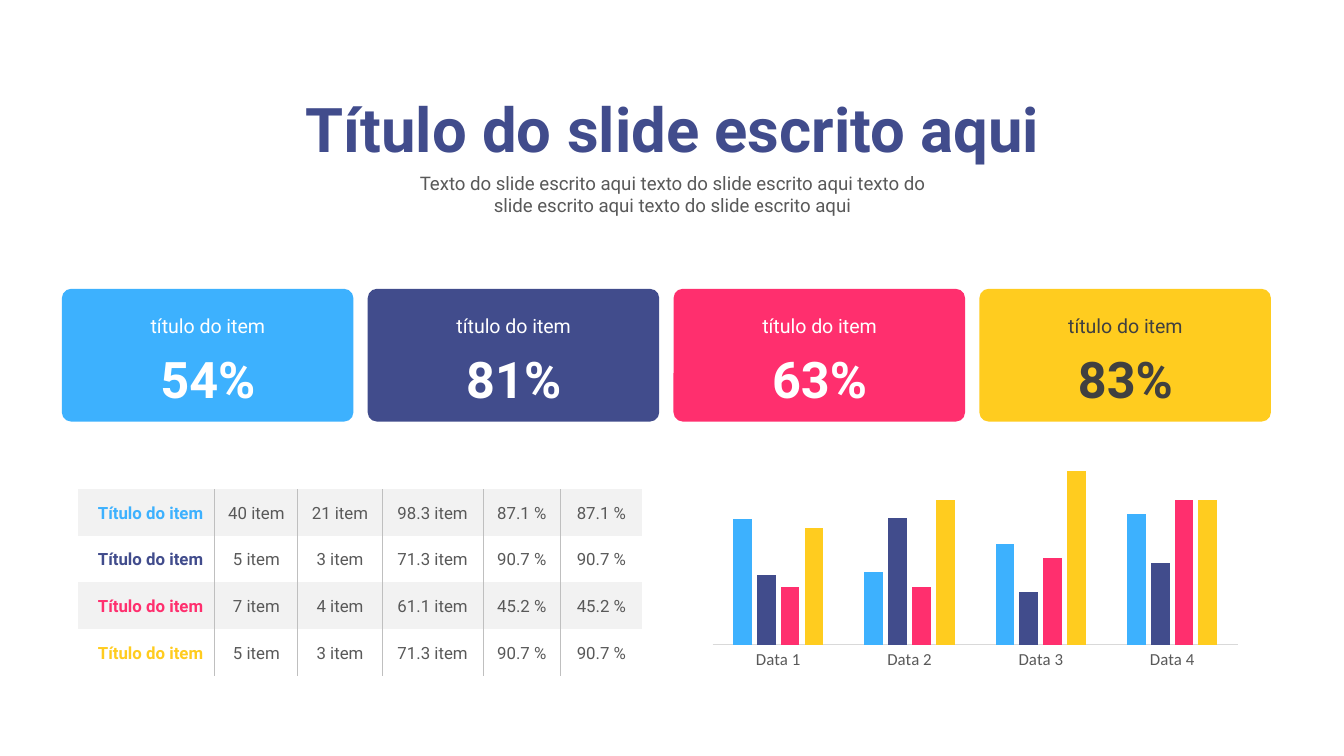
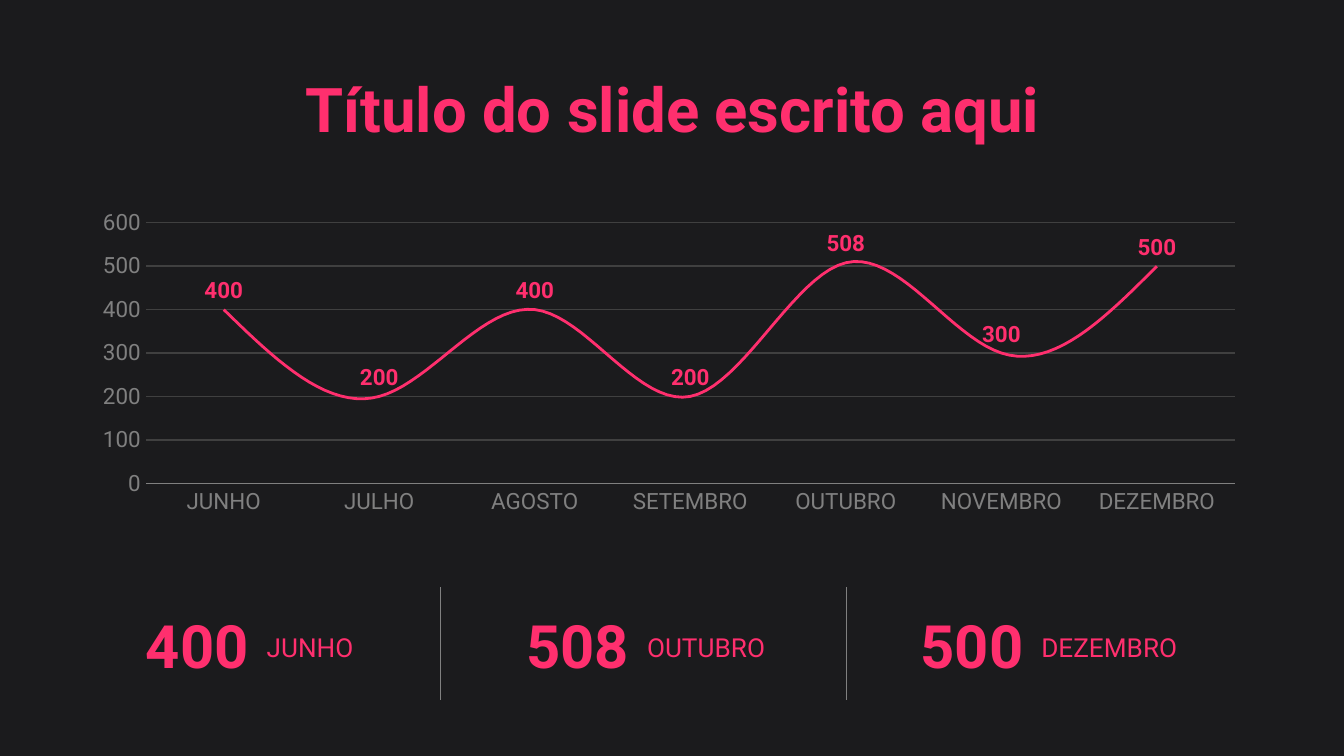
from dataclasses import dataclass
from pptx import Presentation
from pptx.chart.data import CategoryChartData
from pptx.dml.color import RGBColor
from pptx.enum.chart import XL_CHART_TYPE, XL_LABEL_POSITION, XL_TICK_MARK
from pptx.enum.shapes import MSO_CONNECTOR, MSO_SHAPE
from pptx.enum.text import MSO_ANCHOR, MSO_AUTO_SIZE, PP_ALIGN
from pptx.oxml import parse_xml
from pptx.oxml.ns import nsdecls, qn
from pptx.util import Cm, Pt
from lxml.etree import SubElement


@dataclass(frozen=True)
class Theme:
    font: str = "Roboto"
    axis_font: str = "Calibri"
    blue: str = "3DB1FE"
    navy: str = "414C8C"
    pink: str = "FF2F6E"
    yellow: str = "FFCC1F"
    white: str = "FFFFFF"
    dark: str = "1B1B1D"
    band: str = "F2F2F2"
    text: str = "595959"
    ink: str = "404040"
    grey: str = "808080"
    border: str = "BFBFBF"
    axis: str = "D9D9D9"
    title_size: float = 33
    body_size: float = 10
    label_size: float = 10.5
    percent_size: float = 27
    table_size: float = 9
    chart_size: float = 12
    figure_size: float = 32
    month_size: float = 14


T = Theme()
SERIES_COLORS = [T.blue, T.navy, T.pink, T.yellow]
TITLE = "Título do slide escrito aqui"


def style_font(font, size, color, bold=False, name=T.font):
    font.name = name
    font.size = Pt(size)
    font.bold = bold
    font.color.rgb = RGBColor.from_string(color)


def place_text(sp, box, text, size, color, bold=False, align=PP_ALIGN.CENTER,
               anchor=MSO_ANCHOR.TOP, spacing=1.0):
    sp.left, sp.top, sp.width, sp.height = [Cm(v) for v in box]
    tf = sp.text_frame
    tf.word_wrap = True
    tf.auto_size = MSO_AUTO_SIZE.SHAPE_TO_FIT_TEXT
    tf.vertical_anchor = anchor
    tf.text = text
    p = tf.paragraphs[0]
    p.alignment = align
    p.line_spacing = spacing
    style_font(p.runs[0].font, size, color, bold)
    return p


prs = Presentation()
prs.slide_width, prs.slide_height = Cm(25.4), Cm(14.29)
title_only = prs.slide_layouts[5]

s = prs.slides.add_slide(title_only)
place_text(s.shapes.title, (2.21, 1.6, 21.01, 1.68), TITLE, T.title_size, T.navy, True)
p = place_text(s.shapes.add_textbox(0, 0, 0, 0), (7.65, 3.12, 10.11, 1.12),
               "Texto do slide escrito aqui texto do slide escrito aqui texto do "
               "slide escrito aqui texto do slide escrito aqui",
               T.body_size, T.text)
p.space_before = Pt(6.8)

percents = ["54%", "81%", "63%", "83%"]
for i, (percent, color) in enumerate(zip(percents, SERIES_COLORS)):
    left = 1.17 + i * 5.78
    card = s.shapes.add_shape(MSO_SHAPE.ROUNDED_RECTANGLE,
                              Cm(left), Cm(5.46), Cm(5.51), Cm(2.51))
    card.adjustments[0] = 0.07
    card.shadow.inherit = False
    card.fill.solid()
    card.fill.fore_color.rgb = RGBColor.from_string(color)
    card.line.fill.background()
    ink = T.ink if color == T.yellow else T.white
    place_text(s.shapes.add_textbox(0, 0, 0, 0), (left + 1.2, 5.74, 3.12, 0.76),
               "título do item", T.label_size, ink, spacing=1.14)
    place_text(s.shapes.add_textbox(0, 0, 0, 0), (left + 1.2, 6.3, 3.12, 1.57),
               percent, T.percent_size, ink, True, spacing=1.14)

rows = [
    ["Título do item", "40 item", "21 item", "98.3 item", "87.1 %", "87.1 %"],
    ["Título do item", "5 item", "3 item", "71.3 item", "90.7 %", "90.7 %"],
    ["Título do item", "7 item", "4 item", "61.1 item", "45.2 %", "45.2 %"],
    ["Título do item", "5 item", "3 item", "71.3 item", "90.7 %", "90.7 %"],
]
widths = [2.59, 1.57, 1.59, 1.91, 1.46, 1.55]
table = s.shapes.add_table(len(rows), len(widths), Cm(1.47), Cm(9.25),
                           Cm(sum(widths)), Cm(3.52)).table
table.first_row = table.horz_banding = False
table._tbl.tblPr[0].text = "{2D5ABB26-0587-4C30-8999-92F81FD0307C}"
for column, width in zip(table.columns, widths):
    column.width = Cm(width)
for i, values in enumerate(rows):
    table.rows[i].height = Cm(0.88)
    for j, value in enumerate(values):
        cell = table.cell(i, j)
        cell.fill.solid()
        cell.fill.fore_color.rgb = RGBColor.from_string(T.white if i % 2 else T.band)
        cell.vertical_anchor = MSO_ANCHOR.MIDDLE
        cell.margin_left = Cm(0.18 if j else 0.38)
        cell.margin_right = Cm(0.18)
        cell.margin_top = cell.margin_bottom = Cm(0.09)
        cell.text = value
        p = cell.text_frame.paragraphs[0]
        p.alignment = PP_ALIGN.CENTER if j else PP_ALIGN.LEFT
        p.line_spacing = 1.1
        style_font(p.runs[0].font, T.table_size, T.text if j else SERIES_COLORS[i], j == 0)
        for side, inner in (("R", j < len(widths) - 1), ("L", j > 0)):
            if inner:
                cell._tc.tcPr.insert(0, parse_xml(
                    f'<a:ln{side} {nsdecls("a")} w="{Pt(0.5)}"><a:solidFill>'
                    f'<a:srgbClr val="{T.border}"/></a:solidFill></a:ln{side}>'))

data = CategoryChartData()
data.categories = ["Data 1", "Data 2", "Data 3", "Data 4"]
data.add_series("Series 1", [72, 42, 58, 75])
data.add_series("Series 2", [40, 73, 30, 47])
data.add_series("Series 3", [33, 33, 50, 83])
data.add_series("Series 4", [67, 83, 100, 83])
chart = s.shapes.add_chart(XL_CHART_TYPE.COLUMN_CLUSTERED, Cm(13.26), Cm(8.15),
                           Cm(10.34), Cm(4.6), data).chart
chart.has_title = chart.has_legend = False
style_font(chart.font, T.table_size, T.text, name=T.axis_font)
plot = chart.plots[0]
plot.gap_width, plot.overlap, plot.vary_by_categories = 219, -27, False
for series, color in zip(plot.series, SERIES_COLORS):
    series.format.fill.solid()
    series.format.fill.fore_color.rgb = RGBColor.from_string(color)
chart.category_axis.major_tick_mark = XL_TICK_MARK.NONE
chart.category_axis.format.line.width = Pt(0.75)
chart.category_axis.format.line.color.rgb = RGBColor.from_string(T.axis)
chart.value_axis.visible = False
chart.value_axis.has_major_gridlines = False
chart.value_axis.minimum_scale, chart.value_axis.maximum_scale = 0, 120

s = prs.slides.add_slide(title_only)
s.background.fill.solid()
s.background.fill.fore_color.rgb = RGBColor.from_string(T.dark)
place_text(s.shapes.title, (2.21, 1.22, 21.01, 1.68), TITLE, T.title_size, T.pink, True)

data = CategoryChartData()
data.categories = ["JUNHO", "JULHO", "AGOSTO", "SETEMBRO", "OUTUBRO", "NOVEMBRO", "DEZEMBRO"]
data.add_series("Series 1", [400, 200, 400, 200, 508, 300, 500])
chart = s.shapes.add_chart(XL_CHART_TYPE.LINE, Cm(1.5), Cm(3.84),
                           Cm(22.28), Cm(6.02), data).chart
chart.has_title = chart.has_legend = False
style_font(chart.font, T.chart_size, T.grey)
plot = chart.plots[0]
plot.vary_by_categories = False
series = plot.series[0]
series.smooth = True
series.format.line.width = Pt(1.5)
series.format.line.color.rgb = RGBColor.from_string(T.pink)
labels = series.data_labels
labels.show_value = True
labels.position = XL_LABEL_POSITION.ABOVE
style_font(labels.font, T.chart_size, T.pink, True)
chart.category_axis.major_tick_mark = XL_TICK_MARK.NONE
chart.category_axis.format.line.width = Pt(0.75)
chart.category_axis.format.line.color.rgb = RGBColor.from_string(T.grey)
chart.value_axis.major_tick_mark = XL_TICK_MARK.NONE
chart.value_axis.format.line.fill.background()
chart.value_axis.minimum_scale, chart.value_axis.maximum_scale = 0, 600
chart.value_axis.major_unit = 100
gridline = chart.value_axis.major_gridlines.format.line
gridline.width = Pt(0.75)
gridline.color.rgb = RGBColor.from_string(T.ink)

figures = [(2.51, "400", "JUNHO"), (9.7, "508", "OUTUBRO"), (17.15, "500", "DEZEMBRO")]
for left, figure, month in figures:
    place_text(s.shapes.add_textbox(0, 0, 0, 0), (left, 11.38, 2.79, 1.63),
               figure, T.figure_size, T.pink, True, PP_ALIGN.LEFT)
    place_text(s.shapes.add_textbox(0, 0, 0, 0), (left + 2.28, 11.81, 3.15, 0.86),
               month, T.month_size, T.pink, False, PP_ALIGN.LEFT, MSO_ANCHOR.MIDDLE)

for x in (8.33, 16):
    divider = s.shapes.add_connector(MSO_CONNECTOR.STRAIGHT, Cm(x), Cm(11.1), Cm(x), Cm(13.23))
    divider.line.width = Pt(0.5)
    divider.line.color.rgb = RGBColor.from_string(T.grey)
    SubElement(divider._element.spPr, qn("a:effectLst"))

prs.save("out.pptx")
